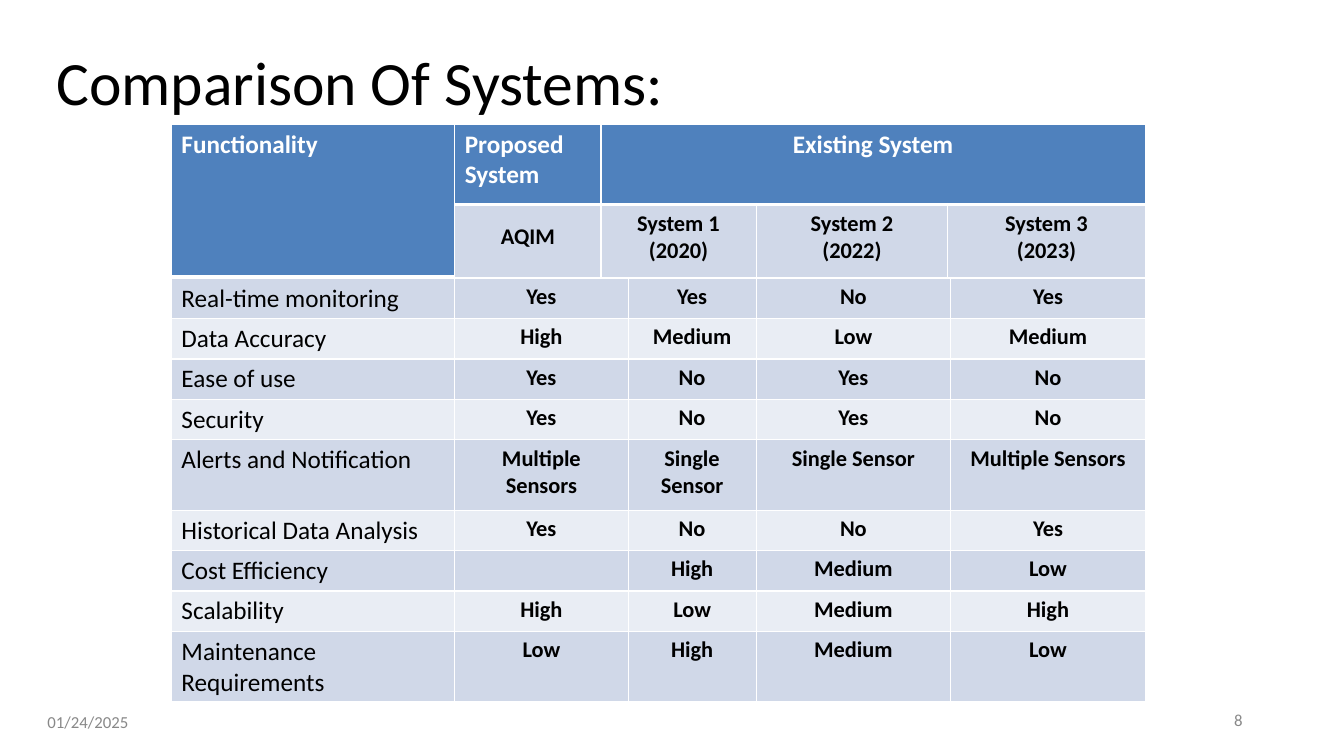
from lxml import etree
from pptx import Presentation
from pptx.dml.color import RGBColor
from pptx.enum.text import MSO_AUTO_SIZE, PP_ALIGN
from pptx.oxml.ns import qn
from pptx.util import Inches, Pt

LEFT, CENTER = PP_ALIGN.LEFT, PP_ALIGN.CENTER
GROW = MSO_AUTO_SIZE.SHAPE_TO_FIT_TEXT

COLORS = {"header": "4F81BD", "dark_band": "D0D8E8", "light_band": "E9EDF4",
          "white": "FFFFFF", "black": "000000", "grey": "888888"}

TABLE_LEFT, LABEL_WIDTH = 1.7, 2.81
FEATURES = [
    ("Real-time monitoring", "Yes", "Yes", "No", "Yes"),
    ("Data Accuracy", "High", "Medium", "Low", "Medium"),
    ("Ease of use", "Yes", "No", "Yes", "No"),
    ("Security", "Yes", "No", "Yes", "No"),
    ("Alerts and Notification", "Multiple Sensors", "Single Sensor",
     "Single Sensor", "Multiple Sensors"),
    ("Historical Data Analysis", "Yes", "No", "No", "Yes"),
    ("Cost Efficiency", "", "High", "Medium", "Low"),
    ("Scalability", "High", "Low", "Medium", "High"),
    ("Maintenance Requirements", "Low", "High", "Medium", "Low"),
]
TALL_ROWS = ("Alerts and Notification", "Maintenance Requirements")
SYSTEMS = ["AQIM", "System 1\n(2020)", "System 2\n(2022)", "System 3\n(2023)"]


def write(tf, text, font="Calibri", size=18, color="black", bold=False,
          align=LEFT, spacing=None):
    """Fill a text frame, one paragraph for each line of text."""
    for i, line in enumerate(text.split("\n")):
        p = tf.paragraphs[0] if i == 0 else tf.add_paragraph()
        p.alignment = align
        if spacing:
            p.line_spacing = spacing
        if line:
            r = p.add_run()
            r.text = line
            r.font.name, r.font.size, r.font.bold = font, Pt(size), bold
            r.font.color.rgb = RGBColor.from_string(COLORS[color])


class Deck:
    def __init__(self, width, height):
        self.prs = Presentation()
        self.prs.slide_width, self.prs.slide_height = Inches(width), Inches(height)
        self.slide = self.prs.slides.add_slide(self.prs.slide_layouts[6])

    def text(self, box, text, insets=None, wrap=True, **fmt):
        tf = self.slide.shapes.add_textbox(*map(Inches, box)).text_frame
        tf.word_wrap, tf.auto_size = wrap, GROW
        if insets:
            (tf.margin_left, tf.margin_top,
             tf.margin_right, tf.margin_bottom) = map(Inches, insets)
        write(tf, text, **fmt)

    def table(self, left, top, widths, heights):
        frame = self.slide.shapes.add_table(
            len(heights), len(widths), Inches(left), Inches(top),
            Inches(sum(widths)), Inches(sum(heights)))
        table = frame.table
        for column, width in zip(table.columns, widths):
            column.width = Inches(width)
        for row, height in zip(table.rows, heights):
            row.height = Inches(height)
        return table

    def cell(self, cell, text, fill, bottom=1, **fmt):
        write(cell.text_frame, text, **fmt)
        cell.fill.solid()
        cell.fill.fore_color.rgb = RGBColor.from_string(COLORS[fill])
        # Borders come before the fill in the cell properties
        tc_pr = cell._tc.get_or_add_tcPr()
        for i, side in enumerate(("lnL", "lnR", "lnT", "lnB")):
            weight = bottom if side == "lnB" else 1
            ln = etree.Element(qn(f"a:{side}"), w=str(int(Pt(weight))))
            solid = etree.SubElement(ln, qn("a:solidFill"))
            etree.SubElement(solid, qn("a:srgbClr"), val=COLORS["white"])
            tc_pr.insert(i, ln)


def main():
    deck = Deck(13.33, 7.5)

    # Footer: date and slide number
    footer = dict(size=12, color="grey", spacing=Pt(12.4))
    deck.text((0.46, 7.09, 4.25, 0.19), "01/24/2025", (0.01, 0, 0, 0), **footer)
    deck.text((12.2, 7.07, 0.17, 0.21), "8", (0.04, 0, 0, 0), **footer)

    # Header table: system names
    head = deck.table(TABLE_LEFT, 1.23, [LABEL_WIDTH, 1.45, 1.54, 1.9, 1.96], [0.8, 0.72])
    titles = ["Functionality", "Proposed System", "Existing System", "", ""]
    for col, title in enumerate(titles):
        deck.cell(head.cell(0, col), title, "header", bottom=3, color="white",
                  bold=True, align=CENTER if col > 1 else LEFT)
    deck.cell(head.cell(1, 0), "", "header", bottom=3)
    for col, name in enumerate(SYSTEMS, 1):
        deck.cell(head.cell(1, col), name, "dark_band", size=16, bold=True,
                  align=CENTER, spacing=1.5 if col == 1 else None)
    head.cell(0, 0).merge(head.cell(1, 0))
    head.cell(0, 2).merge(head.cell(0, 4))

    # Feature table: banded rows
    heights = [0.7 if row[0] in TALL_ROWS else 0.4 for row in FEATURES]
    body = deck.table(TABLE_LEFT, 2.76, [LABEL_WIDTH, 1.72, 1.27, 1.93, 1.93], heights)
    for i, (label, *values) in enumerate(FEATURES):
        band = "light_band" if i % 2 else "dark_band"
        deck.cell(body.cell(i, 0), label, band)
        for col, value in enumerate(values, 1):
            deck.cell(body.cell(i, col), value, band, size=16, bold=True, align=CENTER)

    # Title
    deck.text((0.46, 0.39, 6.29, 0.84), "Comparison Of Systems:", wrap=False, size=44)

    deck.prs.save("out.pptx")


if __name__ == "__main__":
    main()
